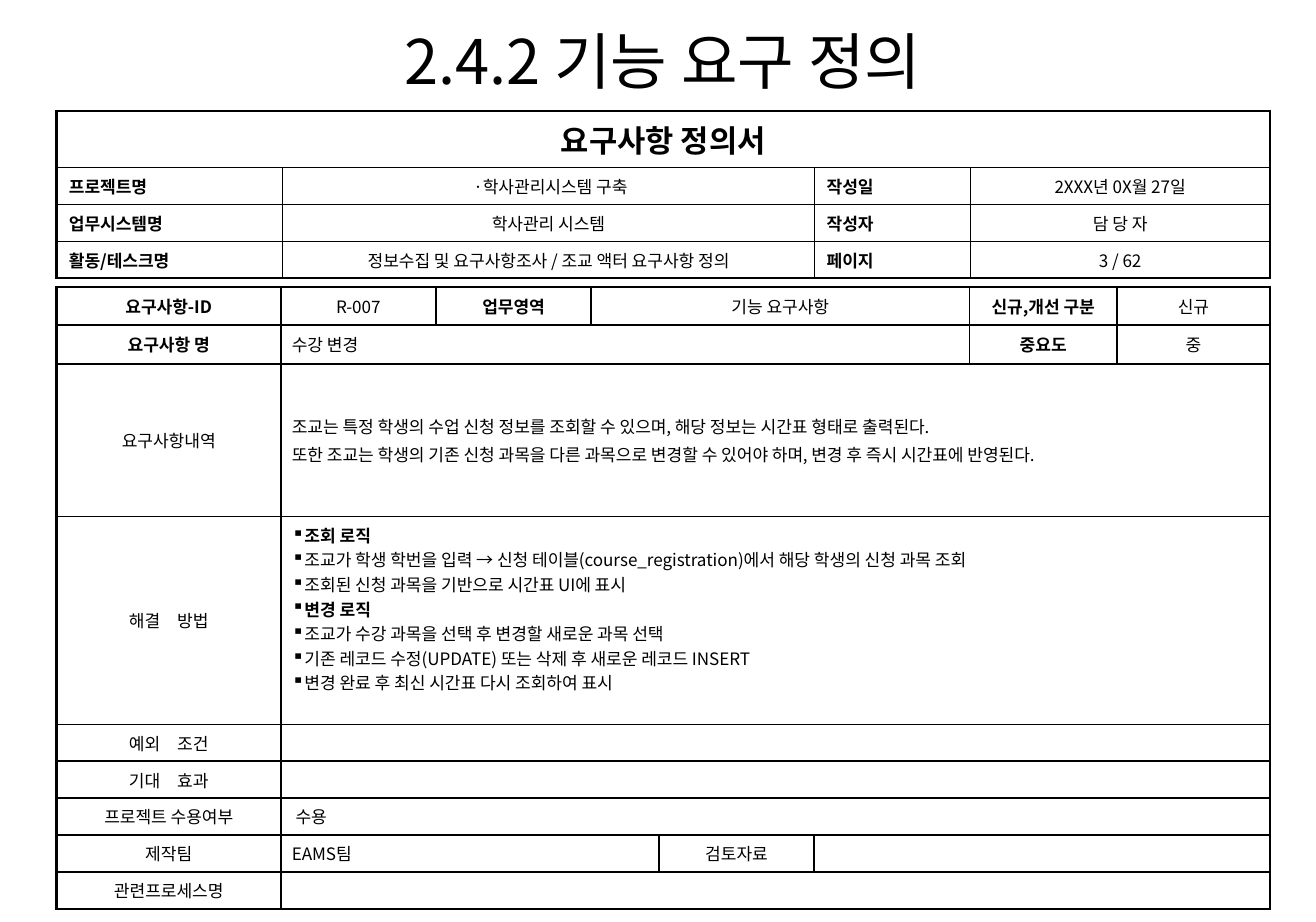
"""Builds the requirement definition sheet slide."""
import dataclasses

import lxml.etree
import pptx
import pptx.dml.color
import pptx.enum.text
import pptx.oxml.ns
import pptx.util

ALIGN = pptx.enum.text.PP_ALIGN
ANCHOR = pptx.enum.text.MSO_ANCHOR
Inches, Pt, qn = pptx.util.Inches, pptx.util.Pt, pptx.oxml.ns.qn


@dataclasses.dataclass(frozen=True)
class Theme:
    font: str = "Noto Sans CJK KR"
    ink: str = "000000"
    title: int = 36
    heading: int = 18
    body: int = 10
    thin: float = 1
    thick: float = 1.5


@dataclasses.dataclass(frozen=True)
class Cell:
    text: str = ""
    span: int = 1
    align: object = ALIGN.CENTER
    bold: bool = False
    size: int = Theme.body
    bullet: str = ""
    bold_lines: tuple = ()


THEME = Theme()
SLIDE_W, SLIDE_H = 10.71, 7.5
LEFT, WIDTH = 0.043, 0.922

INFO_COLS = (1.84, 4.33, 1.27, 2.44)
INFO_ROWS = (0.46, 0.3, 0.3, 0.3)
DETAIL_COLS = (1.82, 1.26, 1.26, 0.55, 1.26, 1.26, 1.2, 1.24)
DETAIL_ROWS = (0.31, 0.32, 1.24, 1.69, 0.3, 0.3, 0.3, 0.3, 0.3)

REQUIREMENT = """조교는 특정 학생의 수업 신청 정보를 조회할 수 있으며, 해당 정보는 시간표 형태로 출력된다.
또한 조교는 학생의 기존 신청 과목을 다른 과목으로 변경할 수 있어야 하며, 변경 후 즉시 시간표에 반영된다."""

SOLUTION = """조회 로직
조교가 학생 학번을 입력 → 신청 테이블(course_registration)에서 해당 학생의 신청 과목 조회
조회된 신청 과목을 기반으로 시간표 UI에 표시
변경 로직
조교가 수강 과목을 선택 후 변경할 새로운 과목 선택
기존 레코드 수정(UPDATE) 또는 삭제 후 새로운 레코드 INSERT
변경 완료 후 최신 시간표 다시 조회하여 표시"""


def head(text):
    """Return a bold centred label."""
    return Cell(text, bold=True)


def side(text):
    """Return a bold justified label."""
    return Cell(text, align=ALIGN.JUSTIFY, bold=True)


def wide(text="", span=7, **options):
    """Return a left-aligned cell that spans several columns."""
    return Cell(text, span, ALIGN.LEFT, **options)


INFO = [
    [Cell("요구사항 정의서", 4, bold=True, size=THEME.heading)],
    [side("프로젝트명"), Cell(" ·학사관리시스템 구축"), side("작성일"), Cell("2XXX년 0X월 27일")],
    [side("업무시스템명"), Cell("학사관리 시스템"), side("작성자"), Cell("담 당 자")],
    [side("활동/테스크명"), Cell("정보수집 및 요구사항조사 / 조교 액터 요구사항 정의"),
     side("페이지"), Cell("3 / 62")],
]

DETAIL = [
    [head("요구사항-ID"), Cell("R-007"), head("업무영역"), Cell("기능 요구사항", 3),
     head("신규,개선 구분"), Cell("신규")],
    [head("요구사항 명"), wide("수강 변경", 5), head("중요도"), Cell("중")],
    [Cell("요구사항내역"), wide(REQUIREMENT)],
    [Cell("해결　방법"), wide(SOLUTION, bullet="▪", bold_lines=(0, 3))],
    [Cell("예외　조건"), wide()],
    [Cell("기대　효과"), wide()],
    [Cell("프로젝트 수용여부"), wide(" 수용")],
    [Cell("제작팀"), wide("EAMS팀", 3), Cell("검토자료"), wide(span=3)],
    [Cell("관련프로세스명"), wide()],
]


def format_run(r, size, bold):
    """Apply the theme font to a run."""
    r.font.size, r.font.bold, r.font.name = Pt(size), bold, THEME.font
    r.font.color.rgb = pptx.dml.color.RGBColor.from_string(THEME.ink)
    lxml.etree.SubElement(r.font._element, qn("a:ea"), typeface=THEME.font)


def add_title(slide, text):
    """Place and format the slide title."""
    sp = slide.shapes.title
    sp.left, sp.top = Inches(SLIDE_W * 0.171), Inches(SLIDE_H * 0.01)
    sp.width, sp.height = Inches(SLIDE_W * 0.665), Inches(SLIDE_H * 0.192)
    tf = sp.text_frame
    tf.text = text
    tf.auto_size = pptx.enum.text.MSO_AUTO_SIZE.NONE
    tf.vertical_anchor = ANCHOR.TOP
    p = tf.paragraphs[0]
    p.alignment, p.line_spacing = ALIGN.CENTER, 1.1
    format_run(p.runs[0], THEME.title, False)


def set_borders(cell, widths):
    """Draw the given cell edges, listed in schema order."""
    tcPr = cell._tc.get_or_add_tcPr()
    for i, (edge, width) in enumerate(widths.items()):
        ln = lxml.etree.Element(qn(f"a:{edge}"), w=str(Pt(width)))
        fill = lxml.etree.SubElement(ln, qn("a:solidFill"))
        lxml.etree.SubElement(fill, qn("a:srgbClr"), val=THEME.ink)
        tcPr.insert(i, ln)


def fill_cell(cell, content, inset):
    """Write and format the content of one cell."""
    cell.margin_left = cell.margin_right = Inches(inset)
    cell.margin_top = cell.margin_bottom = Inches(0.05)
    cell.vertical_anchor = ANCHOR.TOP if content.bullet else ANCHOR.MIDDLE
    tf = cell.text_frame
    tf.text = content.text
    for i, p in enumerate(tf.paragraphs):
        p.alignment = content.align
        if content.bullet:
            pPr = p._p.get_or_add_pPr()
            pPr.set("marL", "0")
            pPr.set("indent", "0")
            lxml.etree.SubElement(pPr, qn("a:buChar"), char=content.bullet)
        elif i:
            p.space_before = Pt(0.2 * content.size)
        for r in p.runs:
            format_run(r, content.size, content.bold or i in content.bold_lines)
        if not p.runs:
            lxml.etree.SubElement(p._p, qn("a:endParaRPr"), sz=str(content.size * 100))


def add_form(slide, top, cols, rows, content, inset, thick_rows=()):
    """Add a ruled form table with merged cells and a thick outline."""
    last_row, last_col = len(rows) - 1, len(cols) - 1
    frame = slide.shapes.add_table(
        len(rows), len(cols), Inches(SLIDE_W * LEFT), Inches(SLIDE_H * top),
        Inches(SLIDE_W * WIDTH), Inches(sum(rows)))
    table = frame.table
    table.first_row = table.horz_banding = False
    for column, share in zip(table.columns, cols):
        column.width = Inches(SLIDE_W * WIDTH * share / sum(cols))
    for row, height in zip(table.rows, rows):
        row.height = Inches(height)

    def weight(is_thick):
        """Return the line width of an edge."""
        return THEME.thick if is_thick else THEME.thin

    for y, line in enumerate(content):
        x = 0
        for item in line:
            end = x + item.span - 1
            fill_cell(table.cell(y, x), item, inset)
            if item.span > 1:
                table.cell(y, x).merge(table.cell(y, end))
            for i in range(x, end + 1):
                widths = {}
                if i == x:
                    widths["lnL"] = weight(x == 0)
                if i in (x, end):
                    widths["lnR"] = weight(end == last_col)
                widths["lnT"] = weight(y == 0 or y - 1 in thick_rows)
                widths["lnB"] = weight(y == last_row or y in thick_rows)
                table.cell(y, i).fill.background()
                set_borders(table.cell(y, i), widths)
            x = end + 1


def main():
    """Build and save the slide."""
    prs = pptx.Presentation()
    prs.slide_width, prs.slide_height = Inches(SLIDE_W), Inches(SLIDE_H)
    slide = prs.slides.add_slide(prs.slide_layouts[5])
    add_title(slide, "2.4.2 기능 요구 정의")
    add_form(slide, 0.12, INFO_COLS, INFO_ROWS, INFO, 0.1)
    add_form(slide, 0.311, DETAIL_COLS, DETAIL_ROWS, DETAIL, 0.09, thick_rows=(0, 1))
    prs.save("out.pptx")


if __name__ == "__main__":
    main()
